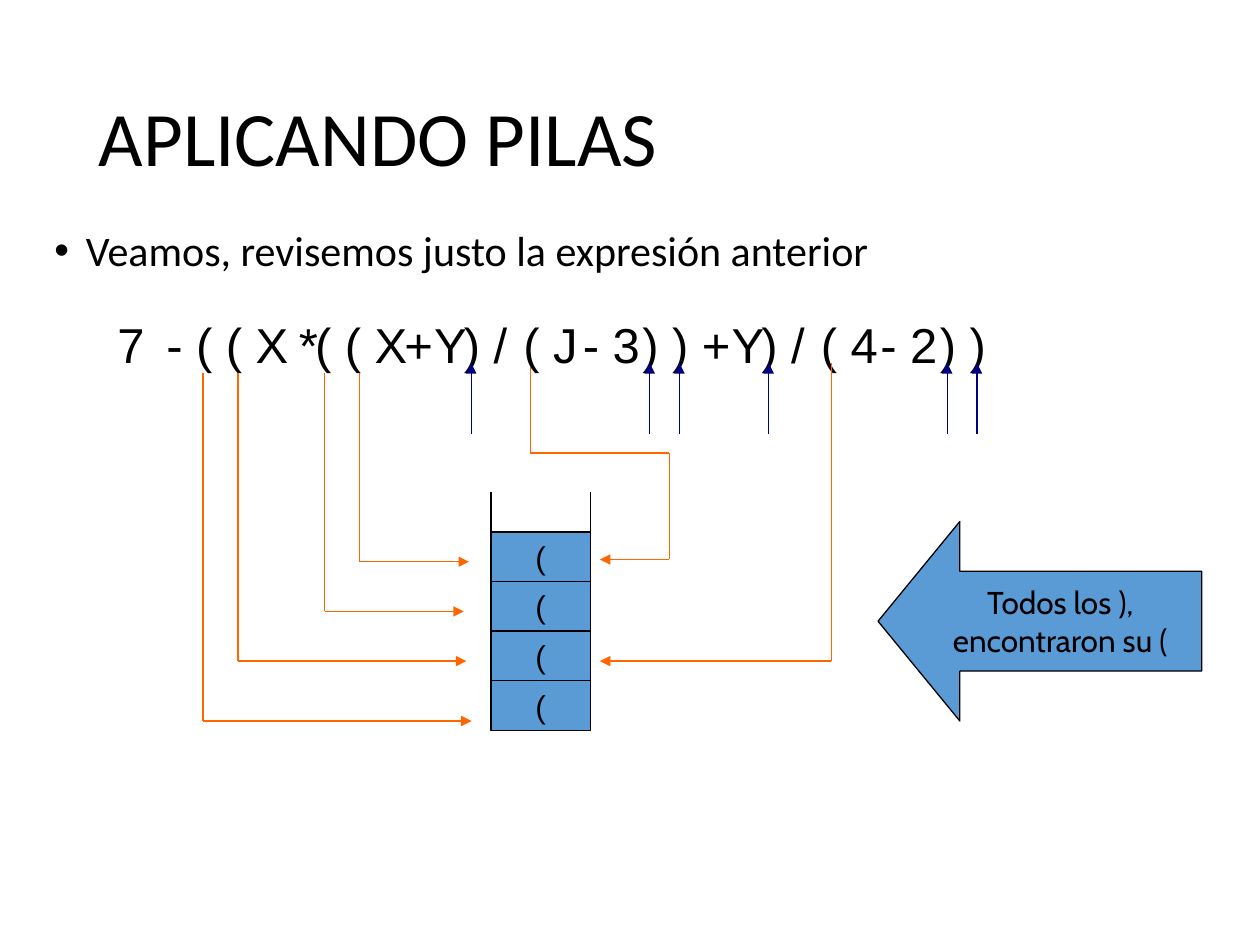
from itertools import pairwise

from lxml import etree
from pptx import Presentation
from pptx.dml.color import RGBColor
from pptx.enum.shapes import MSO_CONNECTOR, MSO_SHAPE
from pptx.enum.text import MSO_ANCHOR, PP_ALIGN
from pptx.oxml.ns import qn
from pptx.util import Pt

STRAIGHT = MSO_CONNECTOR.STRAIGHT
RECTANGLE, LEFT_ARROW = MSO_SHAPE.RECTANGLE, MSO_SHAPE.LEFT_ARROW
TOP, MIDDLE = MSO_ANCHOR.TOP, MSO_ANCHOR.MIDDLE
CENTER = PP_ALIGN.CENTER

BLACK = RGBColor(0x00, 0x00, 0x00)
BLUE = RGBColor(0x5B, 0x9B, 0xD5)
NAVY = RGBColor(0x00, 0x00, 0x80)
ORANGE = RGBColor(0xFF, 0x66, 0x00)

LINE_WIDTH = 0.75


class SlideBuilder:
    """Holds the slide and its common style; all lengths are in points."""

    def __init__(self, slide):
        self.slide = slide

    def style(self, paragraph, font, size):
        paragraph.font.name = font
        paragraph.font.size = Pt(size)
        paragraph.font.color.rgb = BLACK

    def text(self, box, words, font, size, anchor=TOP, spacing=None, top_inset=3.6):
        frame = self.slide.shapes.add_textbox(*map(Pt, box)).text_frame
        frame.word_wrap = True
        frame.vertical_anchor = anchor
        frame.margin_top = Pt(top_inset)
        paragraph = frame.paragraphs[0]
        paragraph.text = words
        paragraph.line_spacing = spacing
        self.style(paragraph, font, size)
        return paragraph

    def bullet(self, paragraph, indent):
        properties = paragraph._p.get_or_add_pPr()
        properties.set("marL", str(Pt(indent)))
        properties.set("indent", str(-Pt(indent)))
        mark_font = etree.SubElement(properties, qn("a:buFont"), typeface="Arial")
        mark_font.addnext(etree.Element(qn("a:buChar"), char="•"))
        # The schema wants the bullet before the default run properties
        defaults = properties.find(qn("a:defRPr"))
        if defaults is not None:
            properties.append(defaults)

    def shape(self, kind, box, words, font, size, wrap=True):
        shape = self.slide.shapes.add_shape(kind, *map(Pt, box))
        shape.shadow.inherit = False
        shape.fill.solid()
        shape.fill.fore_color.rgb = BLUE
        shape.line.color.rgb = BLACK
        shape.line.width = Pt(LINE_WIDTH)
        frame = shape.text_frame
        frame.word_wrap = wrap
        frame.vertical_anchor = MIDDLE
        paragraph = frame.paragraphs[0]
        paragraph.text = words
        paragraph.alignment = CENTER
        self.style(paragraph, font, size)
        return shape

    def route(self, points, color, arrow=True):
        """Joins the points with straight lines, with an arrowhead at the last."""
        for start, end in pairwise(points):
            line = self.slide.shapes.add_connector(STRAIGHT, *map(Pt, start + end))
            line.line.color.rgb = color
            line.line.width = Pt(LINE_WIDTH)
            etree.SubElement(line._element.spPr, qn("a:effectLst"))
        if arrow:
            etree.SubElement(line.line._get_or_add_ln(), qn("a:tailEnd"), type="triangle")


def main():
    deck = Presentation()
    deck.slide_width, deck.slide_height = Pt(720), Pt(540)
    builder = SlideBuilder(deck.slides.add_slide(deck.slide_layouts[6]))

    # Title and introduction
    builder.text((49.5, 28.8, 621, 104.4), "APLICANDO PILAS", "Calibri", 44, MIDDLE, 0.9)
    intro = builder.text((24, 128, 648, 83), "Veamos, revisemos justo la expresión anterior",
                         "Calibri", 24, spacing=0.9)
    builder.bullet(intro, 18)

    # Conclusion
    conclusion = builder.shape(LEFT_ARROW, (501.75, 298, 185, 114),
                               "Todos los ), encontraron su (", "Cabin", 18)
    conclusion.adjustments[0] = 0.5
    conclusion.adjustments[1] = 0.41

    # Expression, one symbol per box, with an arrow under each closing parenthesis
    first_symbol, pitch = 88, 17
    symbols = ["-", "(", "(", "X", " *", *"((X+Y)/(J-3))+Y)/(4-2))"]
    symbol_lefts = [first_symbol + pitch * i for i in range(len(symbols))]
    for symbol, left in zip(["7"] + symbols, [60] + symbol_lefts):
        builder.text((left, 173.5, 39.7, 41), symbol, "Arial", 28, top_inset=6)
        if symbol == ")":
            center = left + 11.3
            builder.route([(center, 248), (center, 207.5)], NAVY)

    # Stack: open container and its cells
    stack_left, stack_width = 280.6, 56.7
    stack_right = stack_left + stack_width
    cell_top, cell_height, cell_count = 304, 28.35, 4
    stack_top, stack_bottom = 281.3, cell_top + cell_count * cell_height
    builder.route([(stack_left, stack_top), (stack_left, stack_bottom),
                   (stack_right, stack_bottom), (stack_right, stack_top)], BLACK, arrow=False)
    for level in range(cell_count):
        builder.shape(RECTANGLE, (stack_left, cell_top + level * cell_height,
                                  stack_width, cell_height), "(", "Arial", 18, wrap=False)

    # Opening parentheses pushed from the left: x, y of the cell, arrow tip
    for x, y, tip in [(116, 412, 269.5), (136, 377.8, 266.5),
                      (185.5, 349.4, 265), (205.5, 321, 268)]:
        builder.route([(x, 213), (x, y), (tip, y)], ORANGE)

    # Opening parentheses pushed from the right
    right_tip = 342.8
    builder.route([(303, 210), (303, 258.8), (382.4, 258.8), (382.4, 319.7),
                   (right_tip, 319.7)], ORANGE)
    builder.route([(475, 207.5), (475, 377.8), (right_tip, 377.8)], ORANGE)

    deck.save("out.pptx")


if __name__ == "__main__":
    main()
